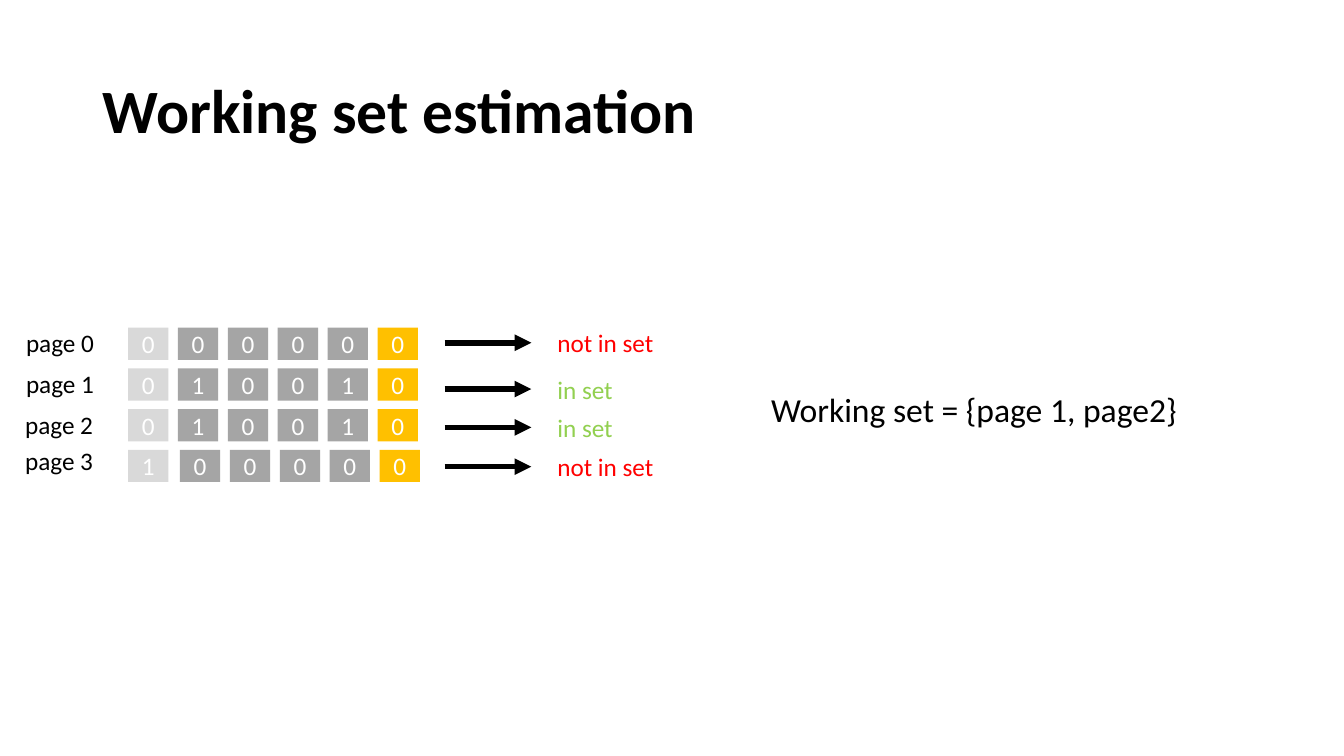
from lxml import etree
from pptx import Presentation
from pptx.dml.color import RGBColor
from pptx.enum.shapes import MSO_CONNECTOR, MSO_SHAPE
from pptx.enum.text import MSO_ANCHOR, MSO_AUTO_SIZE, PP_ALIGN
from pptx.oxml.ns import qn
from pptx.util import Inches, Pt

RECTANGLE = MSO_SHAPE.RECTANGLE
STRAIGHT = MSO_CONNECTOR.STRAIGHT
MIDDLE = MSO_ANCHOR.MIDDLE
FIT_SHAPE = MSO_AUTO_SIZE.SHAPE_TO_FIT_TEXT
LEFT, CENTER = PP_ALIGN.LEFT, PP_ALIGN.CENTER

FONT = "Calibri"
COLORS = {
    "text": "000000",
    "bit_text": "FFFFFF",
    "oldest": "D9D9D9",
    "history": "A5A5A5",
    "newest": "FFC000",
    "not in set": "FF0000",
    "in set": "92D050",
}

TITLE = "Working set estimation"
SUMMARY = "Working set = {page 1, page2}"
PAGES = [
    {"name": "page 0", "bits": "000000", "result": "not in set",
     "label_at": (0.16, 3.2), "arrow_y": 3.4, "shift": 0},
    {"name": "page 1", "bits": "010010", "result": "in set",
     "label_at": (0.16, 3.61), "arrow_y": 3.86, "shift": 0},
    {"name": "page 2", "bits": "010010", "result": "in set",
     "label_at": (0.15, 4.01), "arrow_y": 4.24, "shift": 0},
    {"name": "page 3", "bits": "100000", "result": "not in set",
     "label_at": (0.15, 4.37), "arrow_y": 4.63, "shift": 0.02},
]
LABEL_WIDTH = 0.89
RESULT_WIDTHS = {"not in set": 1.17, "in set": 0.76}

GRID_LEFT, GRID_TOP = 1.27, 3.25
COLUMN_STEP, ROW_STEP = 0.495, 0.404
BIT_WIDTH, BIT_HEIGHT = 0.4, 0.32
ARROW_START, ARROW_END = 4.41, 5.27
RESULT_LEFT = 5.43


def color(name):
    return RGBColor.from_string(COLORS[name])


def format_text(frame, size, color_name, alignment=LEFT, bold=False):
    for para in frame.paragraphs:
        para.alignment = alignment
        for span in para.runs:
            span.font.name = FONT
            span.font.size = Pt(size)
            span.font.bold = bold
            span.font.color.rgb = color(color_name)


def add_label(page, text, left, top, width, height=0.4, size=18, color_name="text"):
    box = page.shapes.add_textbox(Inches(left), Inches(top), Inches(width), Inches(height))
    frame = box.text_frame
    frame.text = text
    frame.word_wrap = False
    frame.auto_size = FIT_SHAPE
    format_text(frame, size, color_name)


def add_bit(page, bit, left, top, fill_name):
    box = page.shapes.add_shape(
        RECTANGLE, Inches(left), Inches(top), Inches(BIT_WIDTH), Inches(BIT_HEIGHT))
    box.shadow.inherit = False
    box.fill.solid()
    box.fill.fore_color.rgb = color(fill_name)
    box.line.fill.background()
    box.text_frame.text = bit
    box.text_frame.vertical_anchor = MIDDLE
    format_text(box.text_frame, 18, "bit_text", CENTER)


def add_arrow(page, y):
    arrow = page.shapes.add_connector(
        STRAIGHT, Inches(ARROW_START), Inches(y), Inches(ARROW_END), Inches(y))
    arrow.line.color.rgb = color("text")
    arrow.line.width = Pt(4)
    etree.SubElement(arrow.line._get_or_add_ln(), qn("a:tailEnd"), type="triangle")
    etree.SubElement(arrow._element.spPr, qn("a:effectLst"))


def add_page_row(page, row, entry):
    add_label(page, entry["name"], *entry["label_at"], LABEL_WIDTH)
    last = len(entry["bits"]) - 1
    for column, bit in enumerate(entry["bits"]):
        fill_name = {0: "oldest", last: "newest"}.get(column, "history")
        shift = entry["shift"] if column else 0
        left = GRID_LEFT + column * COLUMN_STEP + shift
        add_bit(page, bit, left, GRID_TOP + row * ROW_STEP, fill_name)
    add_arrow(page, entry["arrow_y"])
    result = entry["result"]
    add_label(page, result, RESULT_LEFT, entry["arrow_y"] - 0.2,
              RESULT_WIDTHS[result], color_name=result)


def main():
    deck = Presentation()
    deck.slide_width, deck.slide_height = Inches(13.33), Inches(7.5)
    page = deck.slides.add_slide(deck.slide_layouts[5])

    title = page.shapes.title
    title.left, title.top = Inches(0.92), Inches(0.4)
    title.width, title.height = Inches(11.5), Inches(1.45)
    title.text_frame.text = TITLE
    title.text_frame.vertical_anchor = MIDDLE
    title.text_frame.paragraphs[0].line_spacing = 0.9
    format_text(title.text_frame, 44, "text", bold=True)

    for row, entry in enumerate(PAGES):
        add_page_row(page, row, entry)
    add_label(page, SUMMARY, 7.55, 3.81, 4.26, 0.5, 24)

    deck.save("out.pptx")


if __name__ == "__main__":
    main()
